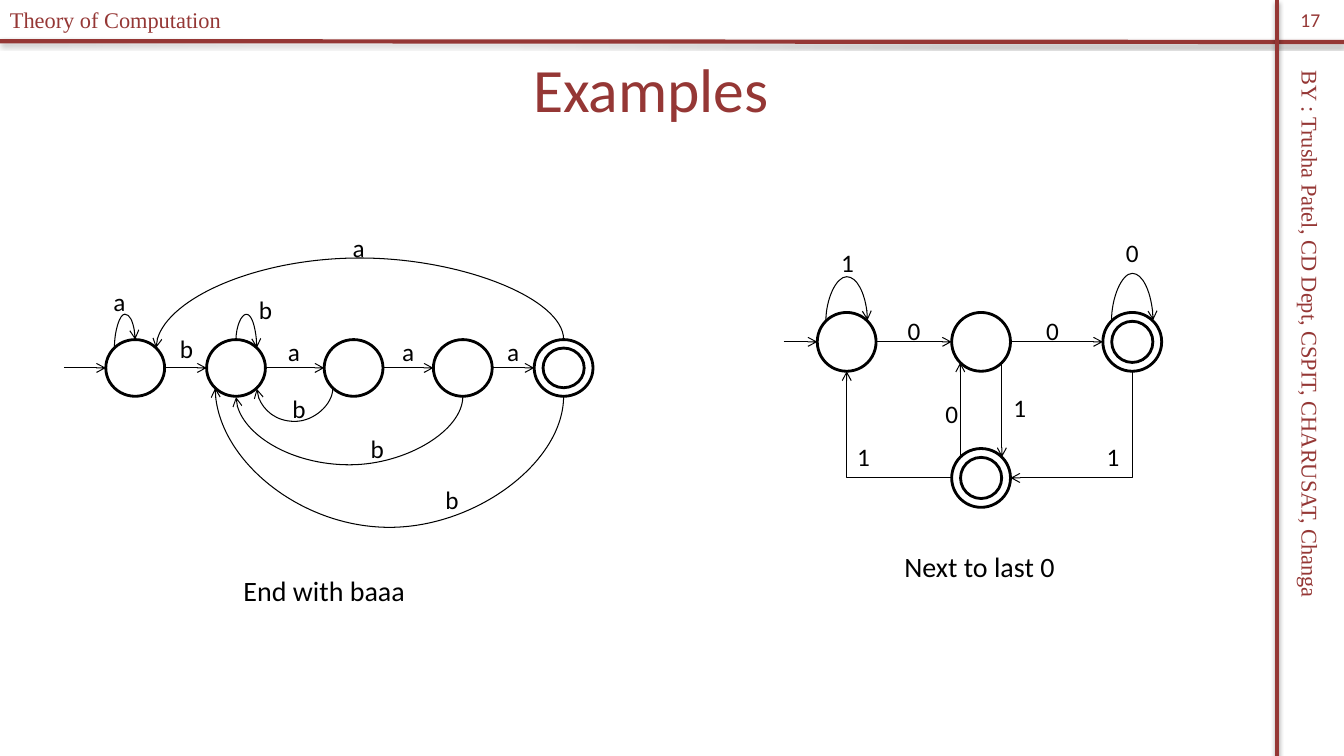
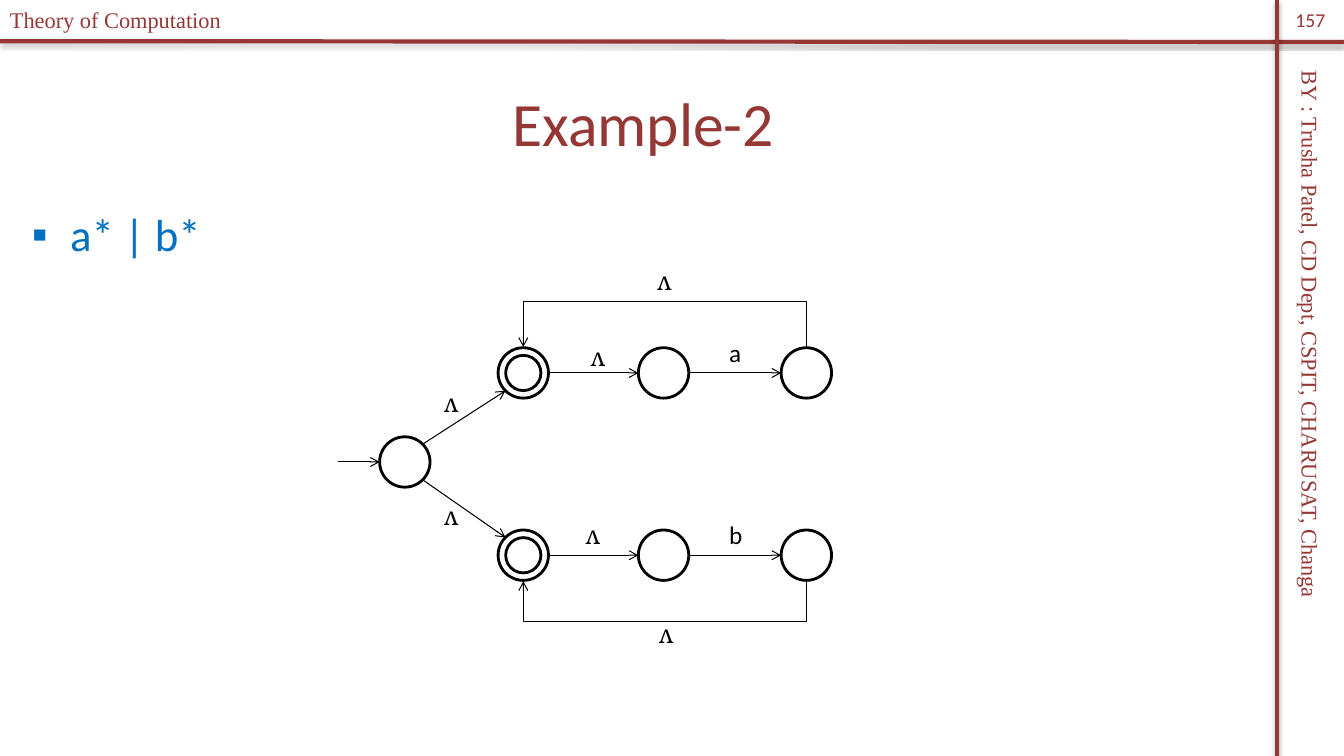
import math
from collections import namedtuple

import pptx
import pptx.util
import pptx.dml.color
import pptx.enum.shapes
import pptx.enum.text
import pptx.oxml
import pptx.oxml.ns
from lxml import etree

COLUMNS, ROWS = 160, 90
CELL = pptx.util.Inches(7.5) / ROWS
MAROON, BLUE, BLACK, WHITE = "953735", "0070C0", "000000", "FFFFFF"
SANS, SERIF, SYMBOL = "Calibri", "Times New Roman", "Cambria"
INNER_SHARE = 0.7
LAMBDA = "ʌ"
CONNECTOR = pptx.enum.shapes.MSO_CONNECTOR
ALIGN = pptx.enum.text.PP_ALIGN
ANCHOR = pptx.enum.text.MSO_ANCHOR
State = namedtuple("State", "x y width height")


def cells(*counts):
    return [round(count * CELL) for count in counts]


def colour(hex_code):
    return pptx.dml.color.RGBColor.from_string(hex_code)


def add_xml(parent, tag, **attributes):
    child = etree.SubElement(parent, pptx.oxml.ns.qn(tag))
    for name, value in attributes.items():
        child.set(name, str(value))
    return child


def rim(state, angle):
    """Point on a state's outline, degrees counter-clockwise from the right."""
    turn = math.radians(angle)
    return (state.x + state.width / 2 * math.cos(turn),
            state.y - state.height / 2 * math.sin(turn))


class Slides:
    def __init__(self):
        self.deck = pptx.Presentation()
        self.deck.slide_width, self.deck.slide_height = cells(COLUMNS, ROWS)
        self.page = None

    def new_page(self, layout, number, title, title_area):
        self.page = self.deck.slides.add_slide(self.deck.slide_layouts[layout])
        self.bar((0, 4.9), (COLUMNS, 5))
        self.bar((152, 0), (152, ROWS))
        side = self.text("BY : Trusha Patel, CD Dept, CSPIT, CHARUSAT, Changa",
                         (117.5, 43.5, 77, 4.4), 16, SERIF, MAROON)
        side.rotation = 90
        self.text("Theory of Computation", (0, 0.1, 39.5, 4.4), 16, SERIF, MAROON)
        self.text(number, (152, 0, 8, 4.8), 14, SANS, MAROON,
                  ALIGN.CENTER, ANCHOR.MIDDLE)
        self.fill_placeholder(self.page.shapes.title, title, title_area,
                              44, MAROON, ALIGN.CENTER, ANCHOR.MIDDLE)

    def place(self, box, area):
        for name, length in zip(("left", "top", "width", "height"), cells(*area)):
            setattr(box, name, length)

    def set_text(self, box, text, size, font, ink, align, anchor, wrap):
        frame = box.text_frame
        layout = {"word_wrap": wrap, "vertical_anchor": anchor,
                  "auto_size": pptx.enum.text.MSO_AUTO_SIZE.NONE}
        for name, value in layout.items():
            setattr(frame, name, value)
        para = frame.paragraphs[0]
        para.alignment = align
        span = para.add_run()
        span.text = text
        for name, value in {"size": pptx.util.Pt(size), "name": font}.items():
            setattr(span.font, name, value)
        span.font.color.rgb = colour(ink)
        return para

    def text(self, text, area, size, font=SANS, ink=BLACK,
             align=ALIGN.LEFT, anchor=ANCHOR.TOP):
        box = self.page.shapes.add_textbox(*cells(*area))
        self.set_text(box, text, size, font, ink, align, anchor, False)
        return box

    def fill_placeholder(self, box, text, area, size, ink, align, anchor):
        self.place(box, area)
        return self.set_text(box, text, size, SANS, ink, align, anchor, True)

    def bullet(self, text, area):
        para = self.fill_placeholder(self.page.placeholders[1], text, area, 32,
                                     BLUE, ALIGN.LEFT, ANCHOR.TOP)
        indent = pptx.util.Inches(0.38)
        properties = para._p.get_or_add_pPr()
        properties.set("marL", str(indent))
        properties.set("indent", str(-indent))
        add_xml(properties, "a:buFont", typeface="Arial")
        add_xml(properties, "a:buChar", char="▪")

    def labels(self, *entries):
        """Each entry is a text and the column and row of its centre."""
        for text, x, y in entries:
            font = SYMBOL if text == LAMBDA else SANS
            self.text(text, (x - 2, y - 2.4, 4, 4.8), 18, font, align=ALIGN.CENTER)

    def caption(self, text, x, y):
        self.text(text, (x - 11, y - 2.6, 22, 5.2), 20, align=ALIGN.CENTER)

    def line(self, kind, start, end, ink, weight):
        """Connector and its still empty effect list."""
        connector = self.page.shapes.add_connector(kind, *cells(*start, *end))
        connector.line.color.rgb = colour(ink)
        connector.line.width = pptx.util.Pt(weight)
        return connector, add_xml(connector._element.spPr, "a:effectLst")

    def bar(self, start, end):
        effects = self.line(CONNECTOR.STRAIGHT, start, end, MAROON, 3)[1]
        shadow = add_xml(effects, "a:outerShdw", blurRad=pptx.util.Pt(3.1),
                         dist=pptx.util.Pt(1.8), dir=90 * 60000, rotWithShape=0)
        shade = add_xml(shadow, "a:srgbClr", val=BLACK)
        add_xml(shade, "a:alpha", val=35000)

    def arrow(self, start, end, kind=CONNECTOR.STRAIGHT):
        connector = self.line(kind, start, end, BLACK, 0.75)[0]
        add_xml(connector.line._get_or_add_ln(), "a:tailEnd", type="arrow")
        return connector

    def turned_arrow(self, kind, start, end, rotation):
        """Bent or curved arrow: rotation 90 leaves vertically, 180 sideways."""
        run, rise = end[0] - start[0], end[1] - start[1]
        middle = start[0] + run / 2, start[1] + rise / 2
        if rotation == 90:
            width, height, flips = abs(rise), abs(run), (rise < 0, run > 0)
        else:
            width, height, flips = abs(run), abs(rise), (run > 0, rise > 0)
        connector = self.arrow((middle[0] - width / 2, middle[1] - height / 2),
                               (middle[0] + width / 2, middle[1] + height / 2), kind)
        frame = connector._element.spPr.find(pptx.oxml.ns.qn("a:xfrm"))
        frame.set("rot", str(rotation * 60000))
        for name, flipped in zip(("flipH", "flipV"), flips):
            if flipped:
                frame.set(name, "1")
        return connector._element.spPr.find(pptx.oxml.ns.qn("a:prstGeom"))

    def corner(self, start, end, rotation):
        geometry = self.turned_arrow(CONNECTOR.ELBOW, start, end, rotation)
        geometry.set("prst", "bentConnector2")

    def detour(self, start, end, level, kind=CONNECTOR.CURVE):
        """Arrow that leaves vertically, runs along a row and comes back."""
        if abs(end[1] - start[1]) < 0.1:
            end = end[0], start[1] + math.copysign(0.1, level - start[1])
        geometry = self.turned_arrow(kind, start, end, 90)
        share = (level - start[1]) / (end[1] - start[1])
        guides = geometry.find(pptx.oxml.ns.qn("a:avLst"))
        add_xml(guides, "a:gd", name="adj1", fmla=f"val {round(share * 100000)}")

    def ellipse(self, x, y, width, height):
        area = cells(x - width / 2, y - height / 2, width, height)
        shape = self.page.shapes.add_shape(pptx.enum.shapes.MSO_SHAPE.OVAL, *area)
        shape.shadow.inherit = False
        shape.fill.solid()
        shape.fill.fore_color.rgb = colour(WHITE)
        shape.line.color.rgb = colour(BLACK)
        shape.line.width = pptx.util.Pt(2)

    def state(self, x, y, width, height, accepting=False):
        self.ellipse(x, y, width, height)
        if accepting:
            self.ellipse(x, y, width * INNER_SHARE, height * INNER_SHARE)
        return State(x, y, width, height)

    def chain(self, xs, y, width, height, accepting):
        """Row of states joined from left to right."""
        states = [self.state(x, y, width, height, index == accepting)
                  for index, x in enumerate(xs)]
        for left, right in zip(states, states[1:]):
            self.arrow(rim(left, 0), rim(right, 180))
        return states

    def entry(self, state, length):
        x, y = rim(state, 180)
        self.arrow((x - length, y), (x, y))


def draw_examples(slides):
    slides.new_page(5, "17", "Examples", (22, 3, 111, 15))

    first, middle, last = slides.chain((100.8, 116.8, 134.8), 40.7, 7, 7, 2)
    lower = slides.state(middle.x, 56.9, 7, 7, True)
    slides.entry(first, 4)
    slides.arrow(rim(middle, -45), rim(lower, 45))
    slides.arrow(rim(lower, 135), rim(middle, 225))
    slides.corner(rim(last, 270), rim(lower, 0), 90)
    slides.corner(rim(lower, 180), rim(first, 270), 180)
    for state, level in ((first, 32.9), (last, 32.5)):
        slides.detour(rim(state, 135), rim(state, 45), level)
    slides.labels(("0", 108.8, 39.4), ("0", 125.3, 39.4), ("0", 113.3, 49.2),
                  ("0", 134.8, 30.1), ("1", 100.9, 31.2), ("1", 121.4, 48.5),
                  ("1", 102.8, 54.4), ("1", 132.5, 54.4))
    slides.caption("Next to last 0", 116.6, 67.4)

    start, b, ba, baa, baaa = slides.chain((16.1, 28.1, 42.1, 55.1, 67.1),
                                           43.8, 7, 6.75, 4)
    slides.entry(start, 5)
    for source, leave, target, arrive, level in (
            (start, 135, start, 90, 37.4), (b, 90, b, 45, 37.4),
            (baaa, 90, start, 45, 30.7), (ba, 225, b, -45, 50.2),
            (baa, 270, b, 270, 55.4), (baaa, 270, b, 225, 62.8)):
        slides.detour(rim(source, leave), rim(target, arrive), level)
    slides.labels(("a", 14.2, 35.9), ("a", 35, 41.9), ("a", 48.6, 41.9),
                  ("a", 61.1, 41.9), ("a", 42.7, 29.5), ("b", 22.2, 41.5),
                  ("b", 31.6, 36.8), ("b", 35.6, 48.6), ("b", 44.9, 53.4),
                  ("b", 53.8, 59.5))
    slides.caption("End with baaa", 38.6, 70.3)


def draw_union(slides):
    slides.new_page(1, "157", "Example-2", (2.6, 7, 148, 15))
    slides.bullet("a* | b*", (2.6, 24, 148, 63))
    start = slides.state(48.2, 55, 6, 6)
    slides.entry(start, 5)
    for y, leave, arrive, side, level in ((44.4, 45, 225, 90, 35.8),
                                          (66.1, -45, 135, 270, 74)):
        branch = slides.chain((62.3, 79, 96), y, 6, 6, 0)
        slides.arrow(rim(start, leave), rim(branch[0], arrive))
        slides.detour(rim(branch[-1], side), rim(branch[0], side), level,
                      CONNECTOR.ELBOW)
    slides.labels(("a", 87.5, 42), ("b", 87.6, 63.6), (LAMBDA, 53.7, 47.9),
                  (LAMBDA, 53.7, 61.4), (LAMBDA, 79.1, 33.4), (LAMBDA, 79.3, 75.4),
                  (LAMBDA, 71.2, 42.4), (LAMBDA, 70.6, 63.6))


def main():
    slides = Slides()
    draw_examples(slides)
    draw_union(slides)
    slides.deck.save("out.pptx")


if __name__ == "__main__":
    main()
